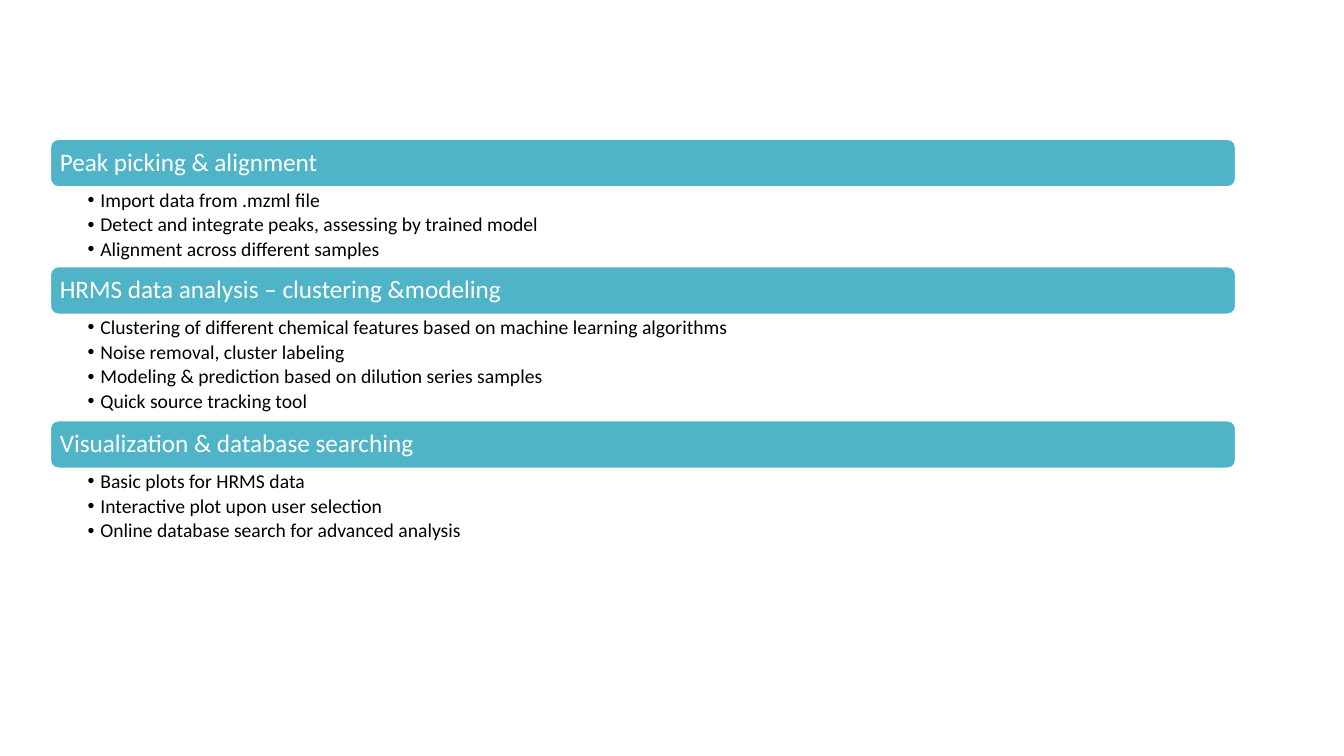
from lxml import etree
from pptx import Presentation, util as u
from pptx.dml.color import RGBColor
from pptx.enum import shapes, text
from pptx.oxml import ns

TEAL = RGBColor(0x50, 0xB4, 0xC8)
WHITE = RGBColor(0xFF, 0xFF, 0xFF)
BLACK = RGBColor(0x00, 0x00, 0x00)
COMPARISON_LAYOUT = 4
LEFT, TOP, WIDTH = 1.27, 3.51, 29.87
BAR_HEIGHT, ITEM_HEIGHT = 1.2, 0.67

SECTIONS = [
    ("Peak picking & alignment", [
        "Import data from .mzml file",
        "Detect and integrate peaks, assessing by trained model",
        "Alignment across different samples",
    ]),
    ("HRMS data analysis – clustering &modeling", [
        "Clustering of different chemical features based on machine learning algorithms",
        "Noise removal, cluster labeling",
        "Modeling & prediction based on dilution series samples",
        "Quick source tracking tool",
    ]),
    ("Visualization & database searching", [
        "Basic plots for HRMS data",
        "Interactive plot upon user selection",
        "Online database search for advanced analysis",
    ]),
]


class SectionSlide:
    """Holds the text style and the current slide, and adds its elements."""

    font_name = "Calibri"

    def __init__(self, slide):
        self.slide = slide

    def place(self, shape, top, height):
        shape.left, shape.top = u.Cm(LEFT), u.Cm(top)
        shape.width, shape.height = u.Cm(WIDTH), u.Cm(height)

    def set_frame(self, frame, anchor, left, right, vertical):
        frame.word_wrap = True
        frame.auto_size = text.MSO_AUTO_SIZE.NONE
        frame.vertical_anchor = anchor
        frame.margin_left, frame.margin_right = u.Cm(left), u.Cm(right)
        frame.margin_top = frame.margin_bottom = u.Cm(vertical)

    def set_paragraph(self, paragraph, size, color):
        paragraph.alignment = text.PP_ALIGN.LEFT
        paragraph.line_spacing = 0.9
        paragraph.space_before = u.Pt(0)
        paragraph.font.name = self.font_name
        paragraph.font.size = u.Pt(size)
        paragraph.font.bold = False
        paragraph.font.color.rgb = color

    def add_bullet(self, paragraph):
        properties = paragraph._p.get_or_add_pPr()
        indent = u.Cm(0.32)
        properties.set("marL", str(indent))
        properties.set("indent", str(-indent))
        etree.SubElement(properties, ns.qn("a:buFont"), typeface="Arial")
        etree.SubElement(properties, ns.qn("a:buChar"), char="•")

    def heading_bar(self, heading, top):
        bar = self.slide.shapes.add_shape(
            shapes.MSO_SHAPE.ROUNDED_RECTANGLE, 0, 0, 0, 0)
        self.place(bar, top, BAR_HEIGHT)
        bar.shadow.inherit = False
        bar.fill.solid()
        bar.fill.fore_color.rgb = TEAL
        bar.line.color.rgb = WHITE
        bar.line.width = u.Pt(1)
        frame = bar.text_frame
        self.set_frame(frame, text.MSO_ANCHOR.MIDDLE, 0.18, 0.18, 0.12)
        frame.text = heading
        self.set_paragraph(frame.paragraphs[0], 18, WHITE)

    def bullet_list(self, placeholder, items, top, height):
        self.place(placeholder, top, height)
        frame = placeholder.text_frame
        self.set_frame(frame, text.MSO_ANCHOR.TOP, 0.94, 0.36, 0.08)
        frame.text = "\n".join(items)
        for paragraph in frame.paragraphs:
            paragraph.level = 1
            self.set_paragraph(paragraph, 14, BLACK)
            paragraph.space_after = u.Pt(2.5)
            self.add_bullet(paragraph)

    def remove(self, shape):
        shape.element.getparent().remove(shape.element)


presentation = Presentation()
presentation.slide_width, presentation.slide_height = u.Cm(33.87), u.Cm(19.05)
slide = presentation.slides.add_slide(
    presentation.slide_layouts[COMPARISON_LAYOUT])
title, *bodies = slide.placeholders
section_slide = SectionSlide(slide)

top = TOP
for (heading, items), body in zip(SECTIONS, bodies):
    list_height = ITEM_HEIGHT * len(items)
    section_slide.heading_bar(heading, top)
    section_slide.bullet_list(body, items, top + BAR_HEIGHT, list_height)
    top += BAR_HEIGHT + list_height

for unused in [title, *bodies[len(SECTIONS):]]:
    section_slide.remove(unused)

presentation.save("out.pptx")
